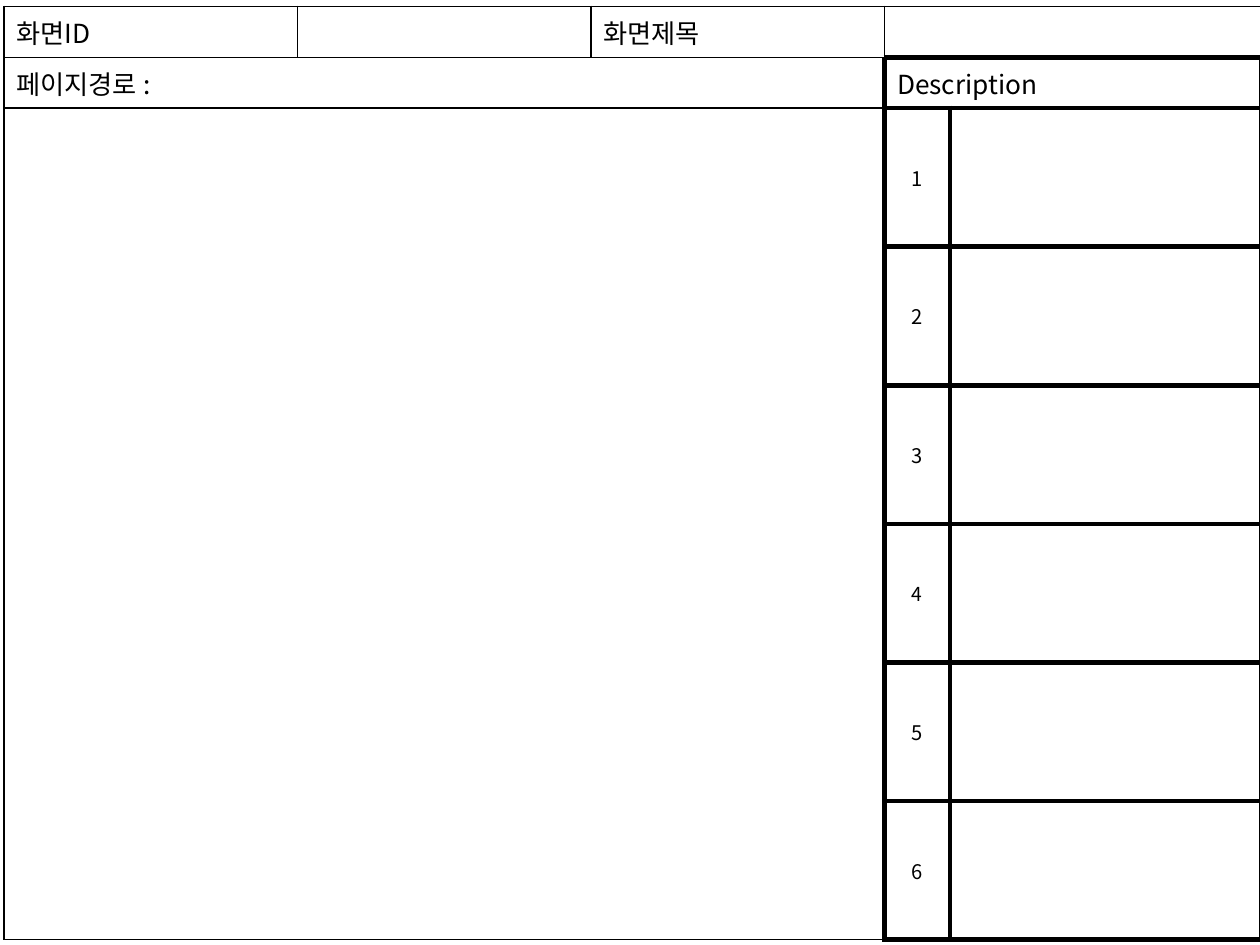
from lxml import etree
from pptx import Presentation
from pptx.dml.color import RGBColor
from pptx.enum.text import MSO_ANCHOR, PP_ALIGN
from pptx.oxml.ns import qn
from pptx.util import Inches, Pt

MIDDLE, CENTER, LEFT = MSO_ANCHOR.MIDDLE, PP_ALIGN.CENTER, PP_ALIGN.LEFT
FONT = "Noto Sans CJK KR"
COLORS = {"ink": "000000"}
THIN, THICK = 1, 3

COLUMNS = [2.33, 2.33, 2.33, 0.52, 2.47]
HEADER_ROWS = [0.36, 0.36]
NOTE_HEIGHT = 1.1
NOTE_SIZES = [11.5, 11.5, 11.5, 11, 11.5, 11.5]
ROWS = HEADER_ROWS + [NOTE_HEIGHT] * len(NOTE_SIZES)

LABELS = [
    (0, 0, "화면ID", 15, LEFT),
    (0, 2, "화면제목", 15, LEFT),
    (1, 0, "페이지경로 :", 15, LEFT),
    (1, 3, "Description", 15, LEFT),
] + [(i + 2, 3, str(i + 1), size, CENTER) for i, size in enumerate(NOTE_SIZES)]
MERGES = [((0, 3), (0, 4)), ((1, 0), (1, 2)), ((1, 3), (1, 4)), ((2, 0), (7, 2))]


def set_borders(cell, row, col):
    in_description = row > 0 and col > 2
    tcPr = cell._tc.get_or_add_tcPr()
    for side in ("L", "R", "T", "B"):
        thick = (in_description or (side == "R" and row > 0 and col == 2)
                 or (side == "B" and row == 0 and col > 2))
        ln = etree.SubElement(tcPr, qn(f"a:ln{side}"), w=str(Pt(THICK if thick else THIN)))
        fill = etree.SubElement(ln, qn("a:solidFill"))
        etree.SubElement(fill, qn("a:srgbClr"), val=COLORS["ink"])


def write(cell, text, size, align):
    cell.vertical_anchor = MIDDLE
    p = cell.text_frame.paragraphs[0]
    p.alignment = align
    r = p.add_run()
    r.text = text
    for name, value in {"name": FONT, "size": Pt(size)}.items():
        setattr(r.font, name, value)
    r.font.color.rgb = RGBColor.from_string(COLORS["ink"])
    etree.SubElement(r._r.get_or_add_rPr(), qn("a:ea"), typeface=FONT)


prs = Presentation()
prs.slide_width, prs.slide_height = Inches(10), Inches(7.5)
s = prs.slides.add_slide(prs.slide_layouts[6])

table = s.shapes.add_table(len(ROWS), len(COLUMNS), Inches(0.03), Inches(0.05),
                           Inches(sum(COLUMNS)), Inches(sum(ROWS))).table
table.first_row = table.horz_banding = False
for column, width in zip(table.columns, COLUMNS):
    column.width = Inches(width)
for row, height in zip(table.rows, ROWS):
    row.height = Inches(height)

for i in range(len(ROWS)):
    for j in range(len(COLUMNS)):
        cell = table.cell(i, j)
        set_borders(cell, i, j)
        cell.fill.background()
for first, last in MERGES:
    table.cell(*first).merge(table.cell(*last))
for i, j, text, size, align in LABELS:
    write(table.cell(i, j), text, size, align)

prs.save("out.pptx")
